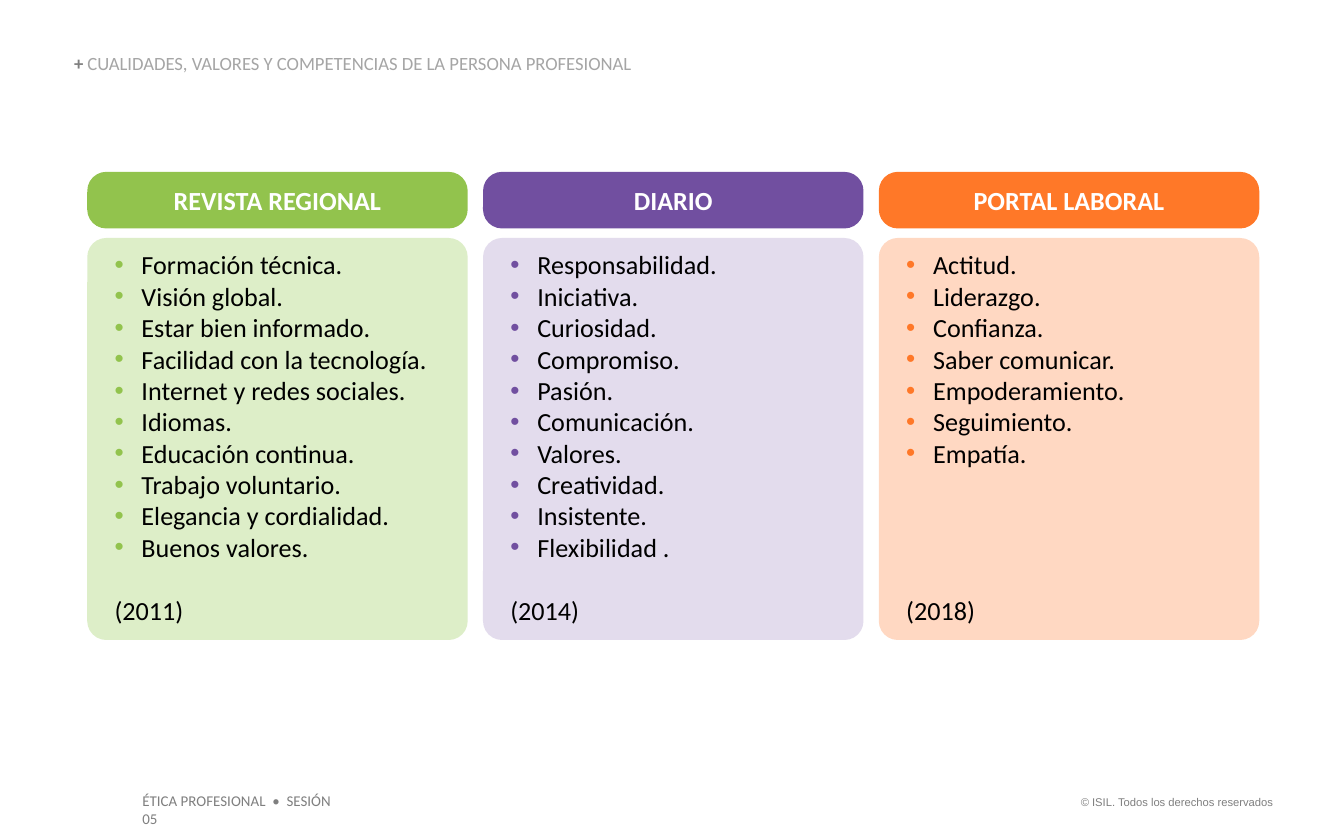
from lxml import etree
from pptx import Presentation
from pptx.dml.color import RGBColor
from pptx.enum.shapes import MSO_SHAPE
from pptx.enum.text import MSO_ANCHOR, PP_ALIGN
from pptx.oxml.ns import qn
from pptx.util import Cm, Pt

ROUND = MSO_SHAPE.ROUNDED_RECTANGLE
TOP, MIDDLE, BOTTOM = MSO_ANCHOR.TOP, MSO_ANCHOR.MIDDLE, MSO_ANCHOR.BOTTOM
LEFT, CENTER, RIGHT = PP_ALIGN.LEFT, PP_ALIGN.CENTER, PP_ALIGN.RIGHT

COLORS = {
    "white": "FFFFFF", "black": "000000", "gray": "7F7F7F", "silver": "A5A5A5",
    "green": "92C34D", "mint": "DDEEC8",
    "purple": "714FA0", "lilac": "E3DCED",
    "orange": "FF7828", "peach": "FFD8C2",
}

CARDS = [
    ("REVISTA REGIONAL", "green", "mint", "(2011)", [
        "Formación técnica.", "Visión global.", "Estar bien informado.",
        "Facilidad con la tecnología.", "Internet y redes sociales.",
        "Idiomas.", "Educación continua.", "Trabajo voluntario.",
        "Elegancia y cordialidad.", "Buenos valores."]),
    ("DIARIO", "purple", "lilac", "(2014)", [
        "Responsabilidad.", "Iniciativa.", "Curiosidad.", "Compromiso.",
        "Pasión.", "Comunicación.", "Valores.", "Creatividad.",
        "Insistente.", "Flexibilidad ."]),
    ("PORTAL LABORAL", "orange", "peach", "(2018)", [
        "Actitud.", "Liderazgo.", "Confianza.", "Saber comunicar.",
        "Empoderamiento.", "Seguimiento.", "Empatía."]),
]

CARD_LEFT, CARD_WIDTH, CARD_STEP = 1.65, 7.19, 7.48
ROWS = 11         # lines above the year
LINE = 16.85      # line height in points
INDENT = Cm(0.51)


def rgb(name):
    return RGBColor.from_string(COLORS[name])


def write(para, text, size=14, color="black", font="Calibri", bold=False, align=LEFT):
    run = para.add_run()
    run.text = text
    run.font.size = Pt(size)
    run.font.name = font
    run.font.bold = bold
    run.font.color.rgb = rgb(color)
    para.alignment = align


def set_frame(shape, anchor=TOP, pads=(0.25, 0.13, 0.25, 0.13)):
    """Set wrap, anchor and insets (left, top, right, bottom); return the frame."""
    frame = shape.text_frame
    frame.word_wrap = True
    frame.vertical_anchor = anchor
    (frame.margin_left, frame.margin_top,
     frame.margin_right, frame.margin_bottom) = map(Cm, pads)
    return frame


def add_label(slide, box, **style):
    """Add a text box and return its first paragraph."""
    shape = slide.shapes.add_textbox(*map(Cm, box))
    return set_frame(shape, **style).paragraphs[0]


def add_panel(slide, box, color, radius):
    shape = slide.shapes.add_shape(ROUND, *map(Cm, box))
    shape.shadow.inherit = False
    shape.fill.solid()
    shape.fill.fore_color.rgb = rgb(color)
    shape.line.fill.background()
    shape.adjustments[0] = radius / min(box[2:])
    return shape


def add_bullet(para, color):
    props = para._p.get_or_add_pPr()
    props.set("marL", str(INDENT))
    props.set("indent", str(-INDENT))
    tint = etree.SubElement(props, qn("a:buClr"))
    etree.SubElement(tint, qn("a:srgbClr"), val=COLORS[color])
    etree.SubElement(props, qn("a:buFont"), typeface="Arial")
    etree.SubElement(props, qn("a:buChar"), char="•")


def add_card(slide, left, title, dark, pale, year, items):
    head = add_panel(slide, (left, 3.25, CARD_WIDTH, 1.07), dark, 0.36)
    write(set_frame(head, MIDDLE).paragraphs[0], title,
          color="white", bold=True, align=CENTER)

    body = add_panel(slide, (left, 4.5, CARD_WIDTH, 7.6), pale, 0.36)
    frame = set_frame(body, pads=(0.41, 0.1, 0.25, 0.13))
    for row, item in enumerate(items):
        para = frame.add_paragraph() if row else frame.paragraphs[0]
        add_bullet(para, dark)
        write(para, item)
    last = frame.add_paragraph()
    last.space_before = Pt((ROWS - len(items)) * LINE)
    write(last, year)


def main():
    deck = Presentation()
    deck.slide_width, deck.slide_height = Cm(25.4), Cm(15.88)
    slide = deck.slides.add_slide(deck.slide_layouts[6])

    rights = add_label(slide, (20.02, 14.91, 4.29, 0.51))
    write(rights, "© ISIL. Todos los derechos reservados",
          size=6, color="gray", font="Arial", align=RIGHT)
    course = add_label(slide, (2.44, 14.83, 4.42, 0.61))
    write(course, "ÉTICA PROFESIONAL  •  SESIÓN 05", size=8, color="gray")

    topic = add_label(slide, (1.4, 1.04, 15, 0.38), anchor=BOTTOM, pads=(0, 0, 0, 0))
    topic.line_spacing = 0.9
    write(topic, "+ ", size=10, color="gray", bold=True)
    write(topic, "CUALIDADES, VALORES Y COMPETENCIAS DE LA PERSONA PROFESIONAL",
          size=10, color="silver")

    for col, card in enumerate(CARDS):
        add_card(slide, CARD_LEFT + col * CARD_STEP, *card)

    deck.save("out.pptx")


if __name__ == "__main__":
    main()
